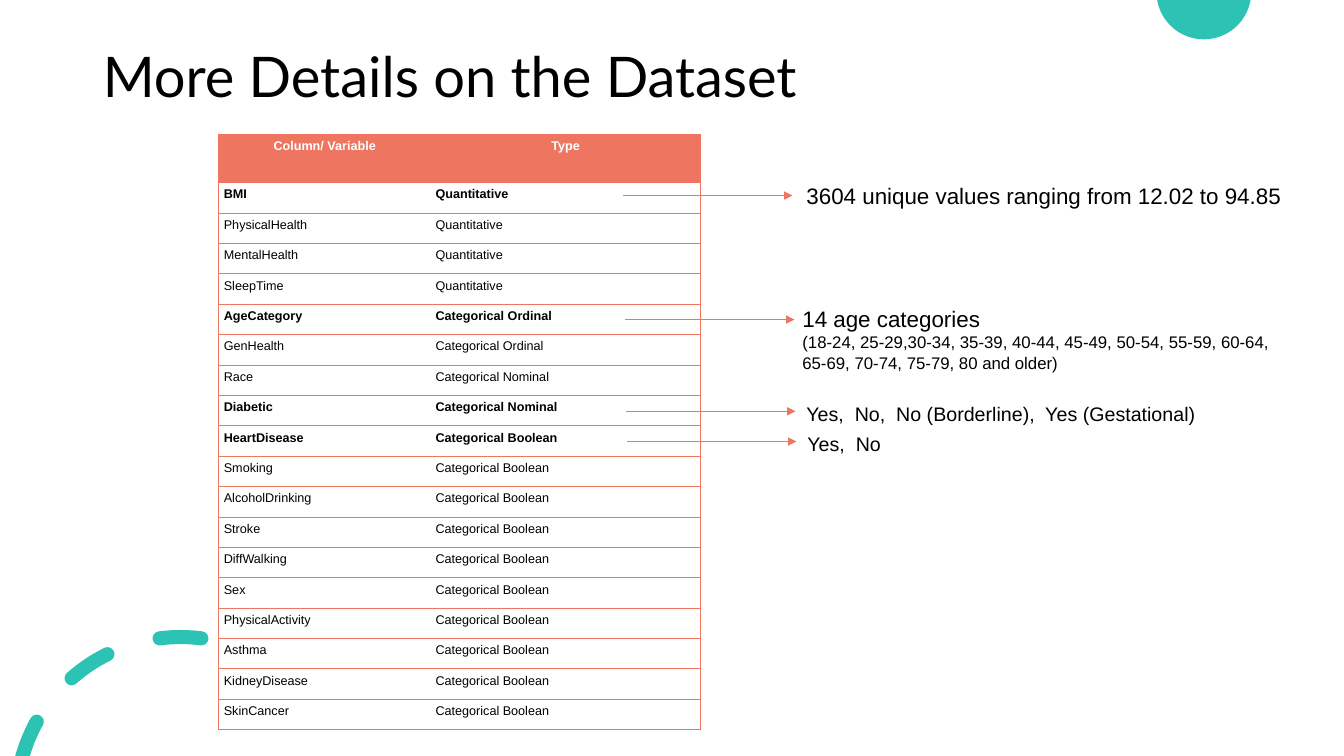
"""Build the slide that details the variables of the health dataset."""
from dataclasses import dataclass
from math import acos, ceil, cos, degrees, radians, sin, tan

from lxml import etree
from pptx import Presentation
from pptx.dml.color import RGBColor
from pptx.enum.shapes import MSO_CONNECTOR
from pptx.enum.text import MSO_ANCHOR, MSO_AUTO_SIZE, PP_ALIGN
from pptx.oxml.ns import qn
from pptx.slide import Slide
from pptx.table import _Cell
from pptx.text.text import _Paragraph
from pptx.util import Inches, Pt

STRAIGHT = MSO_CONNECTOR.STRAIGHT
MIDDLE = MSO_ANCHOR.MIDDLE
FIT_TEXT = MSO_AUTO_SIZE.SHAPE_TO_FIT_TEXT
LEFT, CENTER = PP_ALIGN.LEFT, PP_ALIGN.CENTER

COLORS = {"coral": "EE7661", "teal": "2CC3B4", "black": "000000", "white": "FFFFFF"}
SLIDE_WIDTH, SLIDE_HEIGHT = 13.33, 7.5
HEADER_HEIGHT, TABLE_HEIGHT = 0.48, 5.91
COLUMN_WIDTHS = (2.1, 2.68)
ARROW_LENGTH = 1.68
RING_CENTER, RING_RADIUS, DASH_HALF = (1.79, 7.95), 1.63, 0.07
Point = tuple[float, float]


@dataclass(frozen=True)
class Variable:
    """A dataset column, its type and whether it is emphasised."""
    name: str
    kind: str
    key: bool = False


@dataclass(frozen=True)
class Note:
    """A remark with the arrow that leads to it."""
    arrow: Point
    left: float
    top: float
    width: float
    height: float
    lines: tuple[tuple[str, int], ...]
    wrap: bool = False


QUANTITATIVE = "Quantitative"
ORDINAL, NOMINAL, BOOLEAN = (
    f"Categorical {kind}" for kind in ("Ordinal", "Nominal", "Boolean"))

VARIABLES = [
    Variable("BMI", QUANTITATIVE, True),
    Variable("PhysicalHealth", QUANTITATIVE),
    Variable("MentalHealth", QUANTITATIVE),
    Variable("SleepTime", QUANTITATIVE),
    Variable("AgeCategory", ORDINAL, True),
    Variable("GenHealth", ORDINAL),
    Variable("Race", NOMINAL),
    Variable("Diabetic", NOMINAL, True),
    Variable("HeartDisease", BOOLEAN, True),
]
VARIABLES += [Variable(name, BOOLEAN) for name in (
    "Smoking", "AlcoholDrinking", "Stroke", "DiffWalking", "Sex",
    "PhysicalActivity", "Asthma", "KidneyDisease", "SkinCancer")]

NOTES = [
    Note((6.18, 1.94), 7.9, 1.76, 5.11, 0.37,
         (("3604 unique values ranging from 12.02 to 94.85", 16),)),
    Note((6.2, 3.17), 7.86, 2.98, 4.97, 0.77,
         (("14 age categories", 16),
          ("(18-24, 25-29,30-34, 35-39, 40-44, 45-49, 50-54, 55-59, 60-64,", 12),
          ("65-69, 70-74, 75-79, 80 and older)", 12))),
    Note((6.21, 4.08), 7.9, 3.94, 4.3, 0.34,
         (("Yes,  No,  No (Borderline),  Yes (Gestational)", 14),), True),
    Note((6.22, 4.38), 7.91, 4.24, 0.95, 0.34, (("Yes,  No", 14),), True),
]


def color(name: str) -> RGBColor:
    """Return a named colour."""
    return RGBColor.from_string(COLORS[name])


def add_span(para: _Paragraph, text: str, size: int, shade: str = "black",
             bold: bool = False, font: str = "Arial") -> None:
    """Add one formatted run to a paragraph."""
    span = para.add_run()
    span.text = text
    span.font.name, span.font.size, span.font.bold = font, Pt(size), bold
    span.font.color.rgb = color(shade)


def arc(center: Point, radius: float, start: float, end: float) -> list[Point]:
    """Return the cubic curve points of an arc, in clockwise degrees from the top."""
    pieces = ceil(abs(end - start) / 90)
    step = radians(end - start) / pieces
    handle = 4 / 3 * tan(step / 4)
    points = []
    for index in range(pieces + 1):
        angle = radians(start) + index * step
        for pull in (-handle, 0, handle):
            points.append((center[0] + radius * (sin(angle) + pull * cos(angle)),
                           center[1] - radius * (cos(angle) - pull * sin(angle))))
    return points[1:-1]


def dash(start: float, end: float) -> list[Point]:
    """Outline a round-ended dash on the corner ring, cut at the slide bottom."""
    outer, inner = RING_RADIUS + DASH_HALF, RING_RADIUS - DASH_HALF
    drop = RING_CENTER[1] - SLIDE_HEIGHT
    outer_start, inner_start = (max(start, -degrees(acos(drop / radius)))
                                for radius in (outer, inner))
    centerline = arc(RING_CENTER, RING_RADIUS, start, end)
    points = (arc(RING_CENTER, outer, outer_start, end)
              + arc(centerline[-1], DASH_HALF, end, end + 180)[1:]
              + arc(RING_CENTER, inner, end, inner_start)[1:])
    if outer_start == start:
        points += arc(centerline[0], DASH_HALF, start + 180, start + 360)[1:]
    return points


def add_ornament(page: Slide, outlines: list[list[Point]]) -> None:
    """Draw curved teal outlines as one shape."""
    builder = page.shapes.build_freeform(*map(Inches, outlines[0][0]))
    for index, outline in enumerate(outlines):
        first, *rest = [(Inches(x), Inches(y)) for x, y in outline]
        if index:
            builder.move_to(*first)
        builder.add_line_segments(rest, close=True)
    shape = builder.convert_to_shape()
    segments = list(shape._element.iter(qn("a:lnTo")))
    for curve, second, third in zip(segments[::3], segments[1::3], segments[2::3]):
        curve.tag = qn("a:cubicBezTo")
        for segment in (second, third):
            curve.append(segment[0])
            segment.getparent().remove(segment)
    shape.shadow.inherit = False
    shape.fill.solid()
    shape.fill.fore_color.rgb = color("teal")
    shape.line.fill.background()


def add_title(page: Slide) -> None:
    """Place and format the title."""
    title = page.shapes.title
    title.left, title.top = Inches(0.92), Inches(0.4)
    title.width, title.height = Inches(11.5), Inches(0.77)
    title.text_frame.vertical_anchor = MIDDLE
    para = title.text_frame.paragraphs[0]
    para.alignment, para.line_spacing = LEFT, 0.9
    add_span(para, "More Details on the Dataset", 40, font="Lato")


def set_borders(cell: _Cell, inner_side: str) -> None:
    """Rule a cell in coral except on its inner side."""
    properties = cell._tc.get_or_add_tcPr()
    for side in "LRTB":
        line = etree.SubElement(properties, qn(f"a:ln{side}"), w=str(Pt(0.5)))
        if side == inner_side:
            etree.SubElement(line, qn("a:noFill"))
        else:
            fill = etree.SubElement(line, qn("a:solidFill"))
            etree.SubElement(fill, qn("a:srgbClr"), val=COLORS["coral"])


def add_variable_table(page: Slide) -> None:
    """Draw the table of variables and types."""
    rows = [Variable("Column/ Variable", "Type", True)] + VARIABLES
    table = page.shapes.add_table(len(rows), 2, Inches(2.17), Inches(1.33),
                                  Inches(sum(COLUMN_WIDTHS)), Inches(TABLE_HEIGHT)).table
    table.horz_banding = False
    for column, width in zip(table.columns, COLUMN_WIDTHS):
        column.width = Inches(width)
    row_height = (TABLE_HEIGHT - HEADER_HEIGHT) / len(VARIABLES)
    for index, variable in enumerate(rows):
        header = index == 0
        table.rows[index].height = Inches(HEADER_HEIGHT if header else row_height)
        for position, text in enumerate((variable.name, variable.kind)):
            cell = table.cell(index, position)
            cell.margin_left = cell.margin_right = Inches(0.05)
            cell.margin_top = cell.margin_bottom = Inches(0.05)
            set_borders(cell, "RL"[position])
            cell.fill.solid()
            cell.fill.fore_color.rgb = color("coral" if header else "white")
            para = cell.text_frame.paragraphs[0]
            para.alignment = CENTER if header else LEFT
            add_span(para, text, 9, "white" if header else "black", variable.key)


def add_note(page: Slide, note: Note) -> None:
    """Draw a remark and its arrow."""
    x, y = note.arrow
    arrow = page.shapes.add_connector(STRAIGHT, Inches(x), Inches(y),
                                      Inches(x + ARROW_LENGTH), Inches(y))
    arrow.line.color.rgb, arrow.line.width = color("coral"), Pt(0.5)
    etree.SubElement(arrow.line._get_or_add_ln(), qn("a:tailEnd"), type="triangle")
    etree.SubElement(arrow._element.spPr, qn("a:effectLst"))
    box = page.shapes.add_textbox(Inches(note.left), Inches(note.top),
                                  Inches(note.width), Inches(note.height))
    frame = box.text_frame
    frame.word_wrap, frame.auto_size = note.wrap, FIT_TEXT
    for index, (text, size) in enumerate(note.lines):
        para = frame.add_paragraph() if index else frame.paragraphs[0]
        add_span(para, text, size)


def main() -> None:
    """Build and save the deck."""
    deck = Presentation()
    deck.slide_width, deck.slide_height = Inches(SLIDE_WIDTH), Inches(SLIDE_HEIGHT)
    page = deck.slides.add_slide(deck.slide_layouts[5])
    add_ornament(page, [arc((11.94, -0.08), 0.47, 99.8, 260.2)])
    add_ornament(page, [dash(-80, -61), dash(-41.5, -26.4), dash(-7.3, 7.3)])
    add_title(page)
    add_variable_table(page)
    for note in NOTES:
        add_note(page, note)
    deck.save("out.pptx")


if __name__ == "__main__":
    main()
